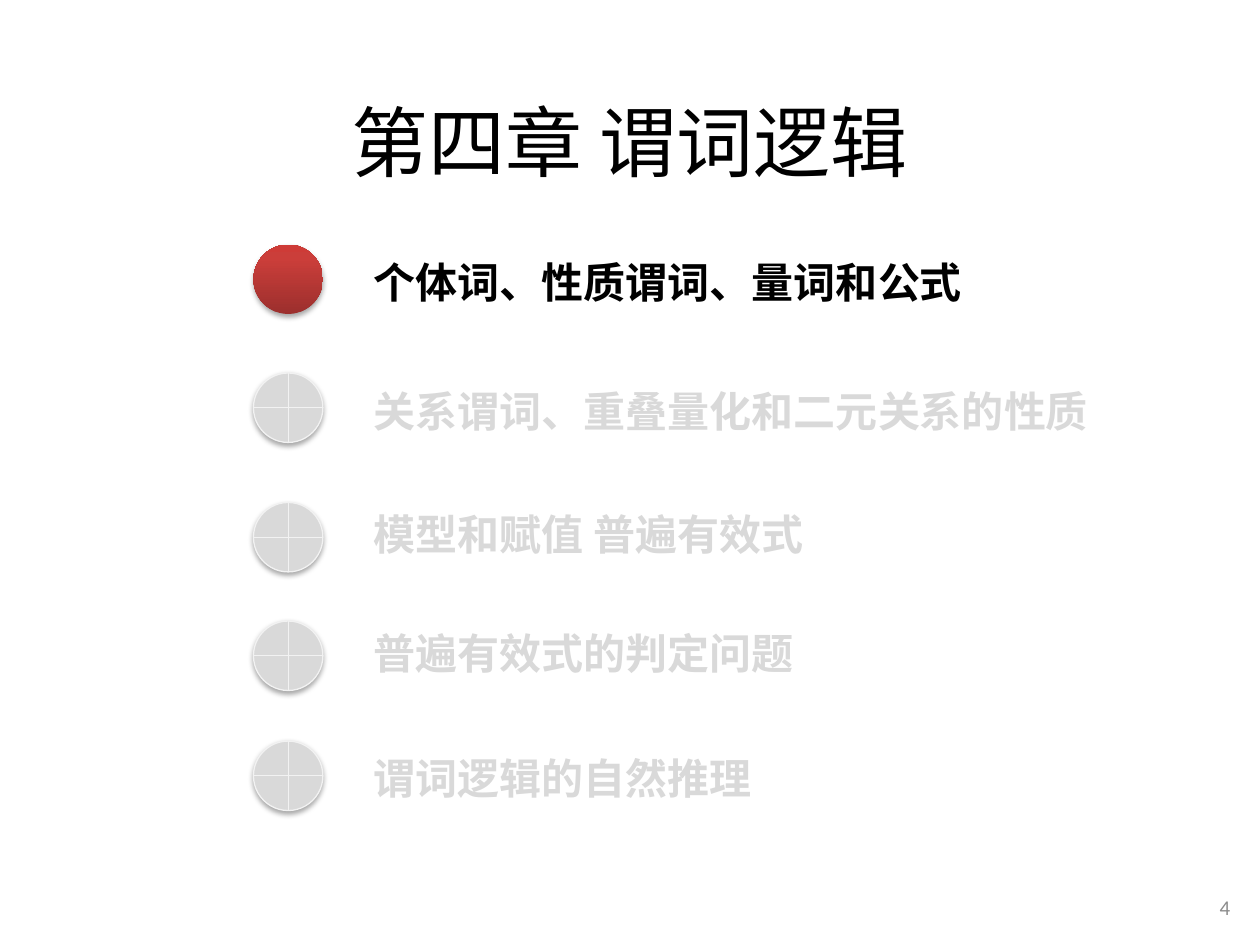
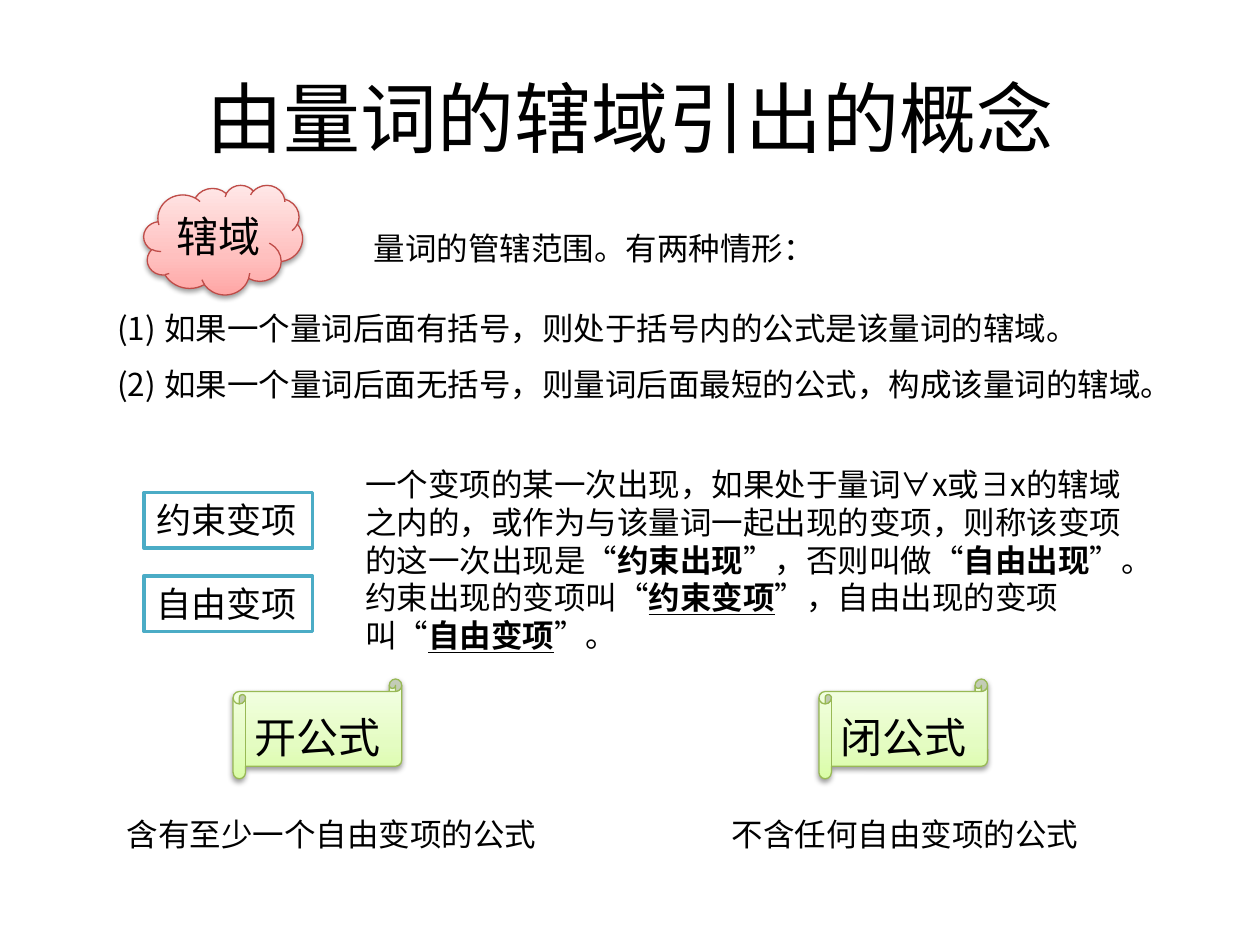
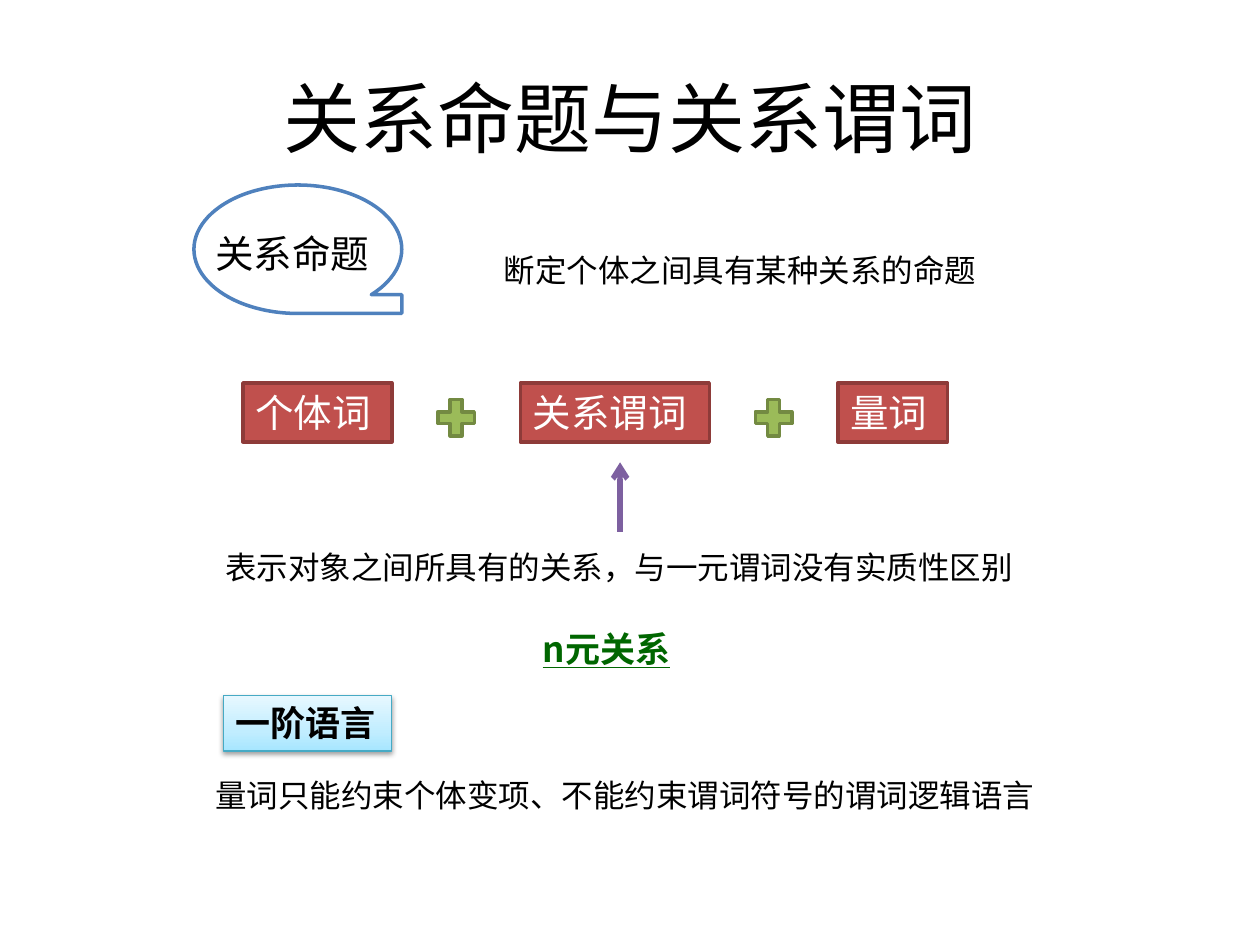
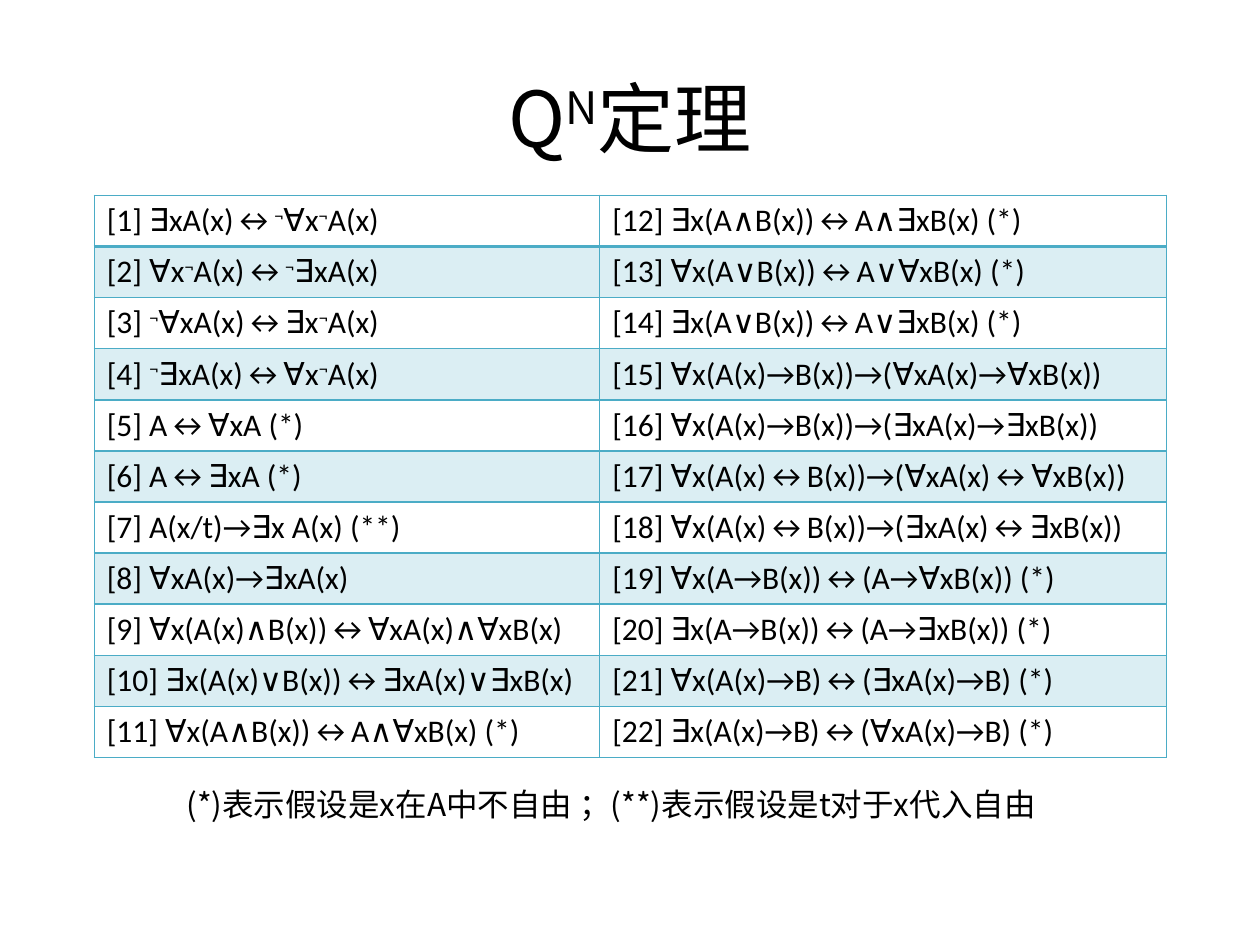
"""Builds four lecture slides on predicate logic."""
from itertools import groupby

from lxml import etree
from pptx import Presentation
from pptx import util as u
from pptx.dml.color import RGBColor
from pptx.enum import shapes, text
from pptx.oxml.ns import qn

COLORS = {
    "black": "000000", "white": "FFFFFF", "muted": "D9D9D9", "edge": "F2F2F2",
    "number": "8C8C8C", "pink_line": "BF4C48", "green_line": "98B955",
    "cyan_line": "46AAC5", "cyan": "4BACC6", "blue": "4F81BD",
    "red": "C0504D", "red_line": "8E3B39", "plus": "9BBB59",
    "plus_line": "738A42", "purple": "7D60A0", "dark_green": "006600",
}
GRADIENTS = {
    "red": [(0, "9C2F2D"), (80, "CB3E3A"), (100, "CE3B37")],
    "pink": [(0, "FFA6A5"), (35, "FFC0BF"), (100, "FFE7E7")],
    "green": [(0, "DAFDA7"), (35, "E4FCC2"), (100, "F5FFE7")],
    "cyan": [(0, "A7E6FF"), (35, "C1EDFF"), (100, "E7F8FF")],
}
SC, JP = "Noto Sans CJK SC", "Noto Sans CJK JP"
SHAPE = shapes.MSO_SHAPE
ALIGN = text.PP_ALIGN


def rgb(name):
    return RGBColor.from_string(COLORS[name])


def sub(parent, tag, **attrs):
    return etree.SubElement(parent, qn(tag), {k: str(v) for k, v in attrs.items()})


def raise_marks(line):
    return [("".join(g), "^" if mark else "")
            for mark, g in groupby(line, lambda c: c == "¬")]


class Deck:
    def __init__(self):
        self.prs = Presentation()
        self.prs.slide_width, self.prs.slide_height = u.Cm(25.4), u.Cm(19.05)
        self.s = None

    def slide(self, title, top=0.76, height=3.18, spacing=None):
        self.s = self.prs.slides.add_slide(self.prs.slide_layouts[5])
        sp = self.s.shapes.title
        sp.left, sp.top, sp.width, sp.height = map(u.Cm, (1.27, top, 22.86, height))
        tf = sp.text_frame
        tf.vertical_anchor = text.MSO_ANCHOR.MIDDLE
        self.add_runs(tf.paragraphs[0], title, 44, JP, align=ALIGN.CENTER,
                      spacing=spacing)

    def add_runs(self, p, runs, size, font=SC, color="black", flags="",
                 align=ALIGN.LEFT, spacing=None):
        p.alignment = align
        if spacing:
            p.line_spacing = spacing
        for content, own in [(runs, "")] if isinstance(runs, str) else runs:
            r = p.add_run()
            r.text = content
            f = r.font
            f.size, f.name = u.Pt(size), font
            f.color.rgb = rgb(color)
            f.bold = "b" in flags + own
            f.underline = "u" in flags + own
            rpr = r._r.get_or_add_rPr()
            if "^" in own:
                rpr.set("baseline", "30000")
            if font != "Calibri":
                sub(rpr, "a:ea", typeface=font if font in (SC, JP) else SC)

    def fill_frame(self, tf, runs, size, **style):
        tf.word_wrap = True
        tf.auto_size = text.MSO_AUTO_SIZE.SHAPE_TO_FIT_TEXT
        tf.vertical_anchor = text.MSO_ANCHOR.TOP
        self.add_runs(tf.paragraphs[0], runs, size, **style)

    def text(self, box, runs, size=18, **style):
        sp = self.s.shapes.add_textbox(*map(u.Cm, box))
        self.fill_frame(sp.text_frame, runs, size, **style)
        return sp

    def numbered(self, box, items, size=18):
        sp = self.s.shapes.add_textbox(*map(u.Cm, box))
        tf = sp.text_frame
        tf.word_wrap = True
        for i, item in enumerate(items):
            p = tf.add_paragraph() if i else tf.paragraphs[0]
            self.add_runs(p, item, size, font="Times New Roman", spacing=1.5)
            ppr = p._p.get_or_add_pPr()
            ppr.set("marL", str(u.Cm(0.95)))
            ppr.set("indent", str(-u.Cm(0.95)))
            sub(ppr, "a:buFontTx")
            sub(ppr, "a:buAutoNum", type="arabicParenBoth")

    def shape(self, kind, box, fill=None, line=None, weight=2, gradient=None,
              shadow=0, label=None, size=20, **style):
        sp = self.s.shapes.add_shape(kind, *map(u.Cm, box))
        sp.shadow.inherit = False
        if gradient:
            self.gradient(sp, GRADIENTS[gradient])
        else:
            sp.fill.solid()
            sp.fill.fore_color.rgb = rgb(fill)
        if line:
            sp.line.color.rgb = rgb(line)
            sp.line.width = u.Pt(weight)
        else:
            sp.line.fill.background()
        if shadow:
            effects = sp._element.spPr.find(qn("a:effectLst"))
            outer = sub(effects, "a:outerShdw", blurRad=u.Pt(3.1), dist=u.Pt(1.7),
                        dir=90 * 60000, rotWithShape=0)
            clr = sub(outer, "a:srgbClr", val=COLORS["black"])
            sub(clr, "a:alpha", val=shadow * 1000)
        if label:
            self.fill_frame(sp.text_frame, label, size, **style)
        return sp

    def gradient(self, sp, stops):
        sp.fill.gradient()
        sp.fill.gradient_angle = 90
        gs_list = sp._element.spPr.find(".//" + qn("a:gsLst"))
        for gs in list(gs_list):
            gs_list.remove(gs)
        for pos, color in stops:
            sub(sub(gs_list, "a:gs", pos=pos * 1000), "a:srgbClr", val=color)

    def badge(self, kind, box, label_box, label, size=24, **look):
        sp = self.shape(kind, box, **look)
        self.s.shapes.add_group_shape([sp, self.text(label_box, label, size)])

    def arrow(self, x1, y1, x2, y2, color, weight):
        c = self.s.shapes.add_connector(shapes.MSO_CONNECTOR.STRAIGHT,
                                        *map(u.Cm, (x1, y1, x2, y2)))
        c.line.color.rgb = rgb(color)
        c.line.width = u.Pt(weight)
        sub(c._element.spPr.find(qn("a:ln")), "a:tailEnd", type="arrow")
        sub(c._element.spPr, "a:effectLst")

    def table(self, left, top, widths, row_height, columns):
        n = len(columns[0])
        frame = self.s.shapes.add_table(n, len(columns), *map(
            u.Cm, (left, top, sum(widths), n * row_height)))
        tbl = frame.table
        tbl.first_row = tbl.horz_banding = False
        for j, (width, lines) in enumerate(zip(widths, columns)):
            tbl.columns[j].width = u.Cm(width)
            for i, line in enumerate(lines):
                tbl.rows[i].height = u.Cm(row_height)
                self.cell(tbl.cell(i, j), i, line, f"[{j * n + i + 1}] ")

    def cell(self, cell, row, line, number):
        self.add_runs(cell.text_frame.paragraphs[0], raise_marks(number + line),
                      18, font="Calibri")
        tcpr = cell._tc.get_or_add_tcPr()
        for side in "LRTB":
            heavy = (side, row) in (("B", 0), ("T", 1))
            ln = sub(tcpr, f"a:ln{side}", w=u.Pt(2 if heavy else 1))
            sub(sub(ln, "a:solidFill"), "a:srgbClr", val=COLORS["cyan"])
        if row % 2:
            cell.fill.solid()
            cell.fill.fore_color.rgb = rgb("cyan")
            clr = tcpr.find(qn("a:solidFill")).find(qn("a:srgbClr"))
            sub(clr, "a:alpha", val=20000)
        else:
            cell.fill.background()


def outline_slide(d):
    d.slide("第四章 谓词逻辑", top=0.79, height=3.15, spacing=1.5)
    d.text((24.03, 17.9, 1.02, 1.02), "4", 12, font="Calibri", color="number",
           align=ALIGN.RIGHT)
    topics = [
        ("个体词、性质谓词、量词和公式", 4.93, 5.05),
        ("关系谓词、重叠量化和二元关系的性质", 7.52, 7.65),
        ("模型和赋值 普遍有效式", 10.13, 10.13),
        ("普遍有效式的判定问题", 12.52, 12.52),
        ("谓词逻辑的自然推理", 14.94, 15.04),
    ]
    for i, (topic, dot_top, text_top) in enumerate(topics):
        current = i == 0
        look = {"gradient": "red"} if current else {
            "fill": "muted", "line": "edge", "weight": 0.75}
        d.shape(SHAPE.FLOWCHART_OR, (5.11, dot_top, 1.4, 1.4), shadow=35, **look)
        d.text((7.29, text_top, 15.01, 1.27), topic, 24, flags="b",
               font="Calibri" if current else "Arial",
               color="black" if current else "muted")


def scope_slide(d):
    d.slide("由量词的辖域引出的概念")
    d.badge(SHAPE.CLOUD, (2.9, 3.73, 3.2, 2.21), (3.3, 4.11, 2.39, 1.27), "辖域",
            gradient="pink", line="pink_line", weight=0.75, shadow=38)
    d.text((7.29, 4.5, 9.19, 1.02), "量词的管辖范围。有两种情形：")
    d.numbered((2.11, 5.72, 21.41, 2.57), [
        "如果一个量词后面有括号，则处于括号内的公式是该量词的辖域。",
        "如果一个量词后面无括号，则量词后面最短的公式，构成该量词的辖域。",
    ])
    for i, term in enumerate(("约束变项", "自由变项")):
        d.shape(SHAPE.RECTANGLE, (2.9, 9.93 + 1.68 * i, 3.4, 1.12), "white", "cyan",
                label=term)
    d.text((7.11, 9.25, 15.8, 4.88), [
        ("一个变项的某一次出现，如果处于量词∀x或∃x的辖域之内的，"
         "或作为与该量词一起出现的变项，则称该变项的这一次出现是“", ""),
        ("约束出现", "b"), ("”，否则叫做“", ""),
        ("自由出现", "b"), ("”。约束出现的变项叫“", ""),
        ("约束变项", "bu"), ("”，自由出现的变项叫“", ""),
        ("自由变项", "bu"), ("”。", ""),
    ])
    formulas = [
        (4.7, "开公式", 2.31, 10.59, "含有至少一个自由变项的公式"),
        (16.51, "闭公式", 14.5, 8.41, "不含任何自由变项的公式"),
    ]
    for left, name, note_left, note_width, note in formulas:
        d.badge(SHAPE.HORIZONTAL_SCROLL, (left, 13.69, 3.4, 2.01),
                (left + 0.19, 14.22, 3.99, 1.27), name,
                gradient="green", line="green_line", weight=0.75, shadow=38)
        d.text((note_left, 16.31, note_width, 1.02), note, font=JP)


def relation_slide(d):
    d.slide("关系命题与关系谓词")
    d.text((9.91, 4.93, 11.81, 1.02), "断定个体之间具有某种关系的命题")
    d.badge(SHAPE.FLOWCHART_SEQUENTIAL_ACCESS_STORAGE, (3.91, 3.73, 4.19, 2.59),
            (4.09, 4.52, 3.81, 1.19), "关系命题", 22, fill="white", line="blue")
    left, gap, plus = 4.9, 2.59, 1
    for i, (part, width) in enumerate((("个体词", 3), ("关系谓词", 3.81), ("量词", 2.21))):
        if i:
            d.shape(SHAPE.MATH_PLUS, (left - (gap + plus) / 2, 7.92, plus, plus),
                    "plus", "plus_line")
        d.shape(SHAPE.RECTANGLE, (left, 7.72, width, 1.19), "red", "red_line",
                label=part, size=22, font=JP, color="white")
        left += width + gap
    d.arrow(12.5, 10.72, 12.5, 9.32, "purple", 3)
    d.text((4.29, 10.92, 17.2, 1.02), "表示对象之间所具有的关系，与一元谓词没有实质性区别")
    d.text((10.69, 12.52, 3.4, 1.12), "n元关系", 20, font=JP, color="dark_green",
           flags="bu")
    d.shape(SHAPE.RECTANGLE, (4.5, 14.02, 3.4, 1.12), gradient="cyan",
            line="cyan_line", weight=0.75, shadow=38, label="一阶语言", flags="b")
    d.text((4.09, 15.52, 17.6, 1.02), "量词只能约束个体变项、不能约束谓词符号的谓词逻辑语言")


def theorem_slide(d):
    d.slide([("Q", ""), ("N", "^"), ("定理", "")])
    d.table(1.9, 3.94, (10.19, 11.43), 1.03, [
        [
            "∃xA(x)↔¬∀x¬A(x)",
            "∀x¬A(x)↔¬∃xA(x)",
            "¬∀xA(x)↔∃x¬A(x)",
            "¬∃xA(x)↔∀x¬A(x)",
            "A↔∀xA (*)",
            "A↔∃xA (*)",
            "A(x/t)→∃x A(x) (**)",
            "∀xA(x)→∃xA(x)",
            "∀x(A(x)∧B(x))↔∀xA(x)∧∀xB(x)",
            "∃x(A(x)∨B(x))↔∃xA(x)∨∃xB(x)",
            "∀x(A∧B(x))↔A∧∀xB(x) (*)",
        ],
        [
            "∃x(A∧B(x))↔A∧∃xB(x) (*)",
            "∀x(A∨B(x))↔A∨∀xB(x) (*)",
            "∃x(A∨B(x))↔A∨∃xB(x) (*)",
            "∀x(A(x)→B(x))→(∀xA(x)→∀xB(x))",
            "∀x(A(x)→B(x))→(∃xA(x)→∃xB(x))",
            "∀x(A(x)↔B(x))→(∀xA(x)↔∀xB(x))",
            "∀x(A(x)↔B(x))→(∃xA(x)↔∃xB(x))",
            "∀x(A→B(x))↔(A→∀xB(x)) (*)",
            "∃x(A→B(x))↔(A→∃xB(x)) (*)",
            "∀x(A(x)→B)↔(∃xA(x)→B) (*)",
            "∃x(A(x)→B)↔(∀xA(x)→B) (*)",
        ],
    ])
    d.text((3.51, 15.7, 18.39, 1.02),
           "(*)表示假设是x在A中不自由 ；(**)表示假设是t对于x代入自由")


def main():
    d = Deck()
    for build in (outline_slide, scope_slide, relation_slide, theorem_slide):
        build(d)
    d.prs.save("out.pptx")


if __name__ == "__main__":
    main()
